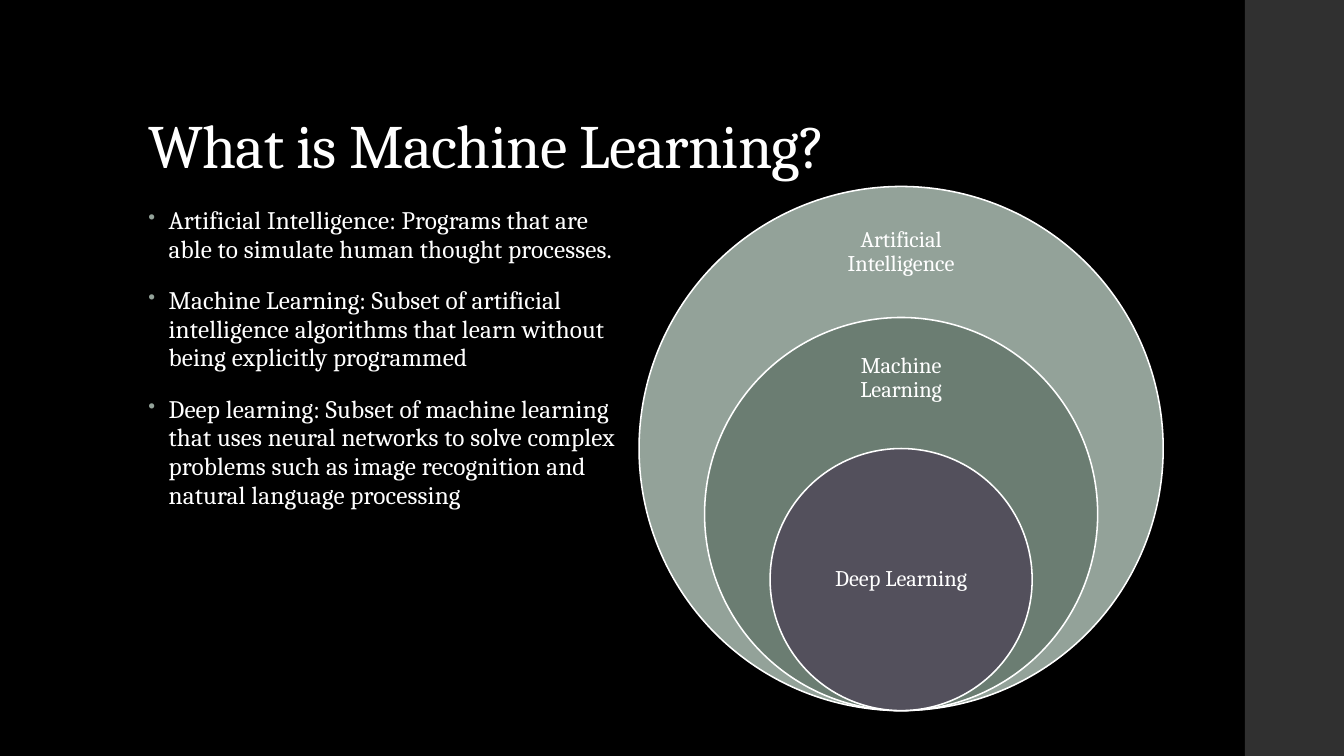
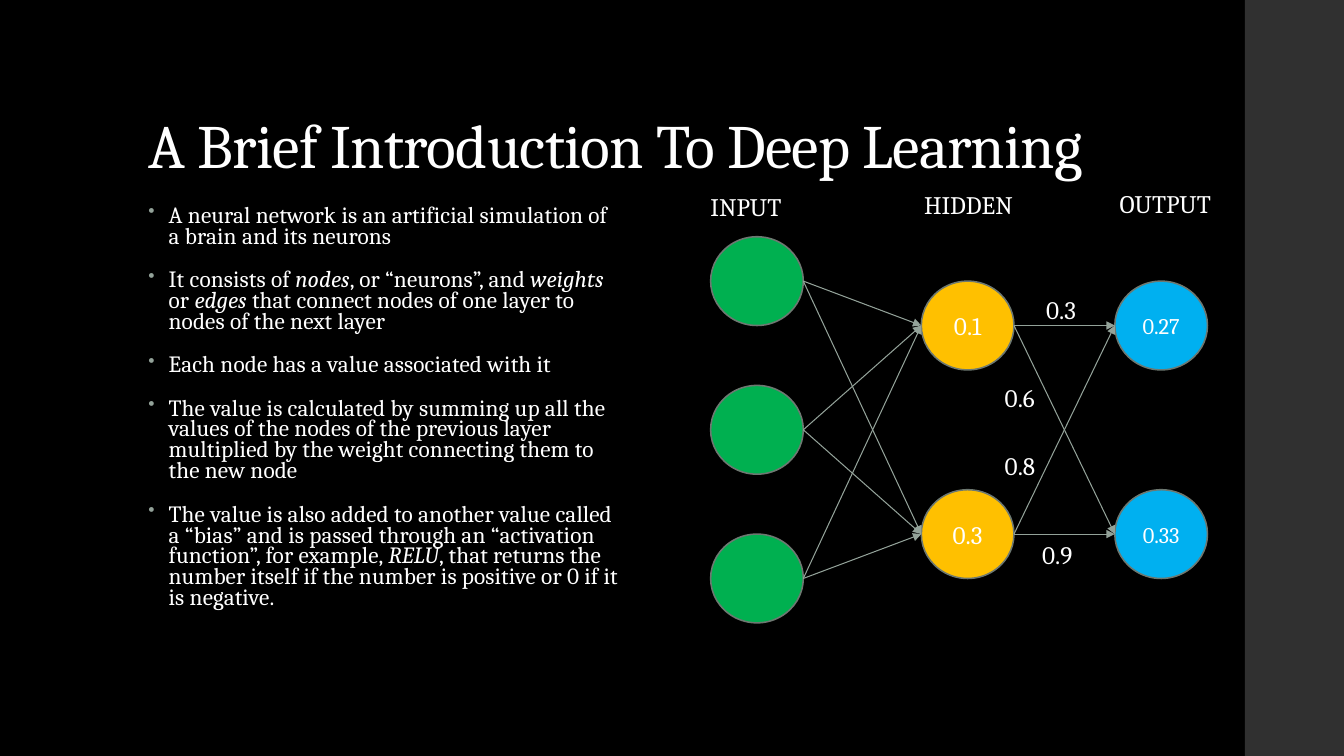
"""Build two slides that introduce machine learning and neural networks."""
from dataclasses import dataclass
from itertools import pairwise, product

from lxml.etree import SubElement
from pptx import Presentation
from pptx.dml.color import RGBColor as RGB
from pptx.enum.shapes import MSO_CONNECTOR as LINK, MSO_SHAPE as FORM
from pptx.enum.text import MSO_ANCHOR as ANCHOR, PP_ALIGN as ALIGN
from pptx.oxml.ns import qn
from pptx.util import Pt


@dataclass(frozen=True)
class Theme:
    font: str = "Cambria"
    back: str = "000000"
    band: str = "303030"
    text: str = "FFFFFF"
    sage: str = "93A299"
    moss: str = "6B7D72"
    plum: str = "53505C"
    edge: str = "6D7871"
    green: str = "00B050"
    gold: str = "FFC000"
    blue: str = "00B0F0"
    title: float = 44
    body: float = 18
    dense: float = 16.6
    small: float = 16


THEME = Theme()
WIDTH, HEIGHT = 960, 540
BAND = (889.2, 0, 70.8, HEIGHT)
TITLE = (99, 28.8, 763.2, 104.4)
BODY = (99, 144, 352.8, 342.7)

TOPICS = {
    "title": "What is Machine Learning?",
    "size": THEME.body,
    "lead": 0.95,
    "points": [
        "Artificial Intelligence: Programs that are able to simulate human thought processes.",
        "Machine Learning: Subset of artificial intelligence algorithms that learn "
        "without being explicitly programmed",
        "Deep learning: Subset of machine learning that uses neural networks to solve "
        "complex problems such as image recognition and natural language processing",
    ],
}
NEURAL = {
    "title": "A Brief Introduction To Deep Learning",
    "size": THEME.dense,
    "lead": 0.75,
    "points": [
        "A neural network is an artificial simulation of a brain and its neurons",
        "It consists of *nodes*, or “neurons”, and *weights *or* edges* that connect "
        "nodes of one layer to nodes of the next layer",
        "Each node has a value associated with it",
        "The value is calculated by summing up all the values of the nodes of the "
        "previous layer multiplied by the weight connecting them to the new node",
        "The value is also added to another value called a “bias” and is passed through "
        "an “activation function”, for example, *RELU*, that returns the number itself "
        "if the number is positive or 0 if it is negative.",
    ],
}

RINGS = [
    ("Artificial Intelligence", THEME.sage, 1, 180),
    ("Machine Learning", THEME.moss, 0.75, 270.4),
    ("Deep Learning", THEME.plum, 0.5, 414),
]
RING_MID, RING_END, RING_SIZE = 643.7, 507.6, 374.4
LABEL_WIDTH, LABEL_HEIGHT = 131, 56

NODE_WIDTH, NODE_HEIGHT = 66.2, 63.4
NET_MID = 307
LAYERS = [
    {"left": 507.6, "gap": 106.2, "fill": THEME.green, "size": THEME.body,
     "nodes": ["", "", ""]},
    {"left": 658.1, "gap": 149, "fill": THEME.gold, "size": THEME.body,
     "nodes": ["0.1", "0.3"]},
    {"left": 796.3, "gap": 149, "fill": THEME.blue, "size": THEME.small,
     "nodes": ["0.27", "0.33"]},
]
TAGS = [
    ("INPUT", 500.4, 133.2, 94),
    ("HIDDEN", 653, 131.8, 94),
    ("OUTPUT", 792.7, 131, 94),
    ("0.3", 740.2, 206.6, 40),
    ("0.6", 710.6, 269.3, 40),
    ("0.8", 710.6, 318.2, 40),
    ("0.9", 737.3, 381.6, 40),
]
TAG_HEIGHT = 29


def points(*sizes):
    return [Pt(size) for size in sizes]


def add_bullet(para):
    props = para._p.get_or_add_pPr()
    props.set("marL", str(Pt(14.4)))
    props.set("indent", str(-Pt(14.4)))
    tint = SubElement(props, qn("a:buClr"))
    SubElement(tint, qn("a:srgbClr"), val=THEME.sage)
    SubElement(props, qn("a:buSzPct"), val="80000")
    SubElement(props, qn("a:buChar"), char="•")


def write(shape, *texts, size=THEME.body, align=ALIGN.LEFT, anchor=ANCHOR.TOP,
          lead=1, before=0, after=0, track=0, bullet=False, inset=None):
    frame = shape.text_frame
    frame.word_wrap = True
    frame.vertical_anchor = anchor
    if inset is not None:
        frame.margin_left = frame.margin_right = Pt(inset)
        frame.margin_top = frame.margin_bottom = Pt(inset)
    for row, text in enumerate(texts):
        para = frame.add_paragraph() if row else frame.paragraphs[0]
        para.alignment, para.line_spacing = align, lead
        para.space_before, para.space_after = Pt(before), Pt(after)
        if bullet:
            add_bullet(para)
        for part, words in enumerate(text.split("*")):
            run = para.add_run()
            run.text = words
            font = run.font
            font.name, font.size = THEME.font, Pt(size)
            font.italic = part % 2 == 1
            font.color.rgb = RGB.from_string(THEME.text)
            if track:
                run._r.get_or_add_rPr().set("spc", str(track))


def add_text(slide, box, *texts, **style):
    write(slide.shapes.add_textbox(*points(*box)), *texts, **style)


def add_form(slide, form, box, fill, line=None):
    shape = slide.shapes.add_shape(form, *points(*box))
    shape.shadow.inherit = False
    shape.fill.solid()
    shape.fill.fore_color.rgb = RGB.from_string(fill)
    if line:
        shape.line.color.rgb = RGB.from_string(line)
        shape.line.width = Pt(1.1)
    else:
        shape.line.fill.background()
    return shape


def add_arrow(slide, start, end):
    link = slide.shapes.add_connector(LINK.STRAIGHT, *points(*start, *end))
    link.line.color.rgb = RGB.from_string(THEME.sage)
    link.line.width = Pt(0.75)
    SubElement(link.line._get_or_add_ln(), qn("a:tailEnd"), type="triangle")
    SubElement(link._element.spPr, qn("a:effectLst"))


def add_page(deck, page):
    slide = deck.slides.add_slide(deck.slide_layouts[6])
    back = slide.background.fill
    back.solid()
    back.fore_color.rgb = RGB.from_string(THEME.back)
    add_form(slide, FORM.RECTANGLE, BAND, THEME.band)
    add_text(slide, TITLE, page["title"], size=THEME.title, anchor=ANCHOR.BOTTOM,
             lead=0.9, track=-50)
    add_text(slide, BODY, *page["points"], size=page["size"], lead=page["lead"],
             before=14, after=2, track=10, bullet=True)
    return slide


def draw_rings(slide):
    for name, fill, scale, mid in RINGS:
        size = RING_SIZE * scale
        box = (RING_MID - size / 2, RING_END - size, size, size)
        add_form(slide, FORM.OVAL, box, fill, THEME.text)
        label = (RING_MID - LABEL_WIDTH / 2, mid - LABEL_HEIGHT / 2,
                 LABEL_WIDTH, LABEL_HEIGHT)
        add_text(slide, label, name, size=THEME.small, align=ALIGN.CENTER,
                 anchor=ANCHOR.MIDDLE, lead=0.9, inset=8.6)


def find_mids(layer):
    count = len(layer["nodes"])
    return [NET_MID + (row - (count - 1) / 2) * layer["gap"] for row in range(count)]


def draw_net(slide):
    for layer in LAYERS:
        for value, mid in zip(layer["nodes"], find_mids(layer)):
            box = (layer["left"], mid - NODE_HEIGHT / 2, NODE_WIDTH, NODE_HEIGHT)
            node = add_form(slide, FORM.OVAL, box, layer["fill"], THEME.edge)
            if value:
                write(node, value, size=layer["size"], align=ALIGN.CENTER,
                      anchor=ANCHOR.MIDDLE, inset=0)
    for near, far in pairwise(LAYERS):
        for start, end in product(find_mids(near), find_mids(far)):
            add_arrow(slide, (near["left"] + NODE_WIDTH, start), (far["left"], end))
    for text, left, top, width in TAGS:
        add_text(slide, (left, top, width, TAG_HEIGHT), text)


def main():
    deck = Presentation()
    deck.slide_width, deck.slide_height = points(WIDTH, HEIGHT)
    draw_rings(add_page(deck, TOPICS))
    draw_net(add_page(deck, NEURAL))
    deck.save("out.pptx")


if __name__ == "__main__":
    main()
